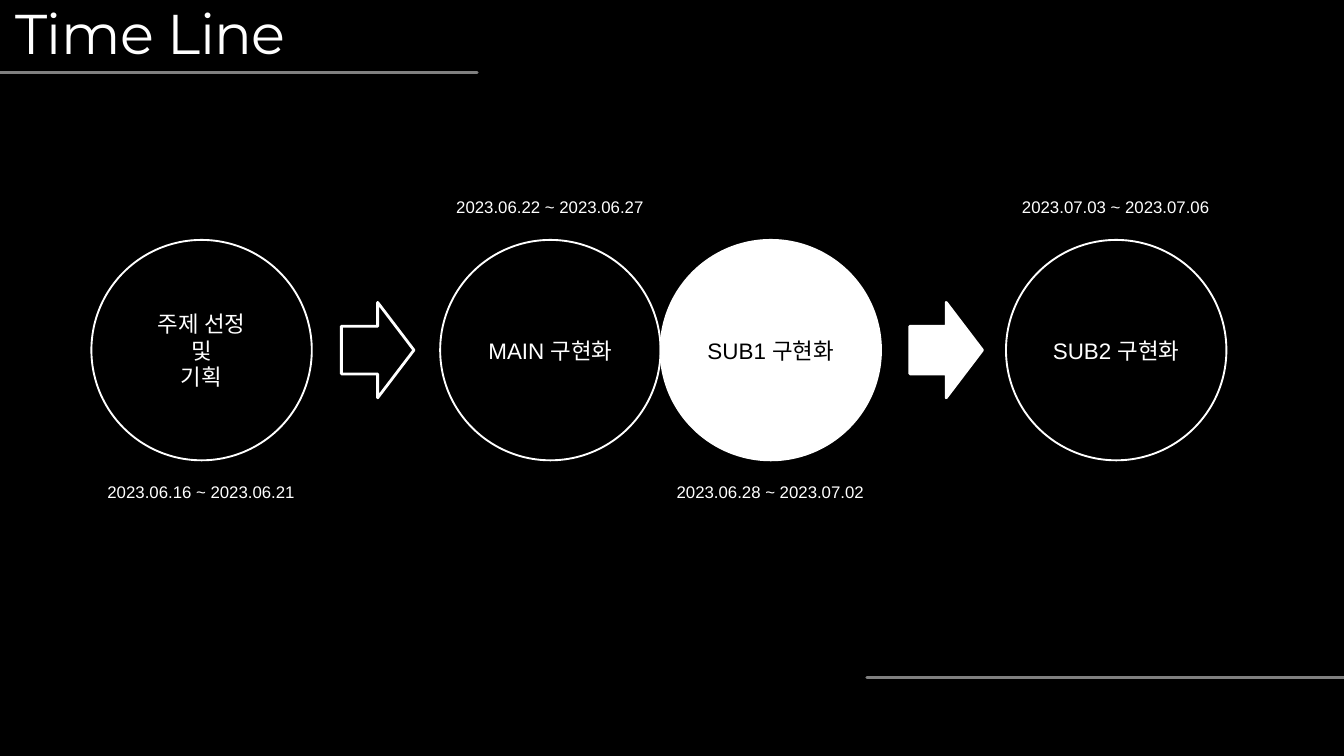
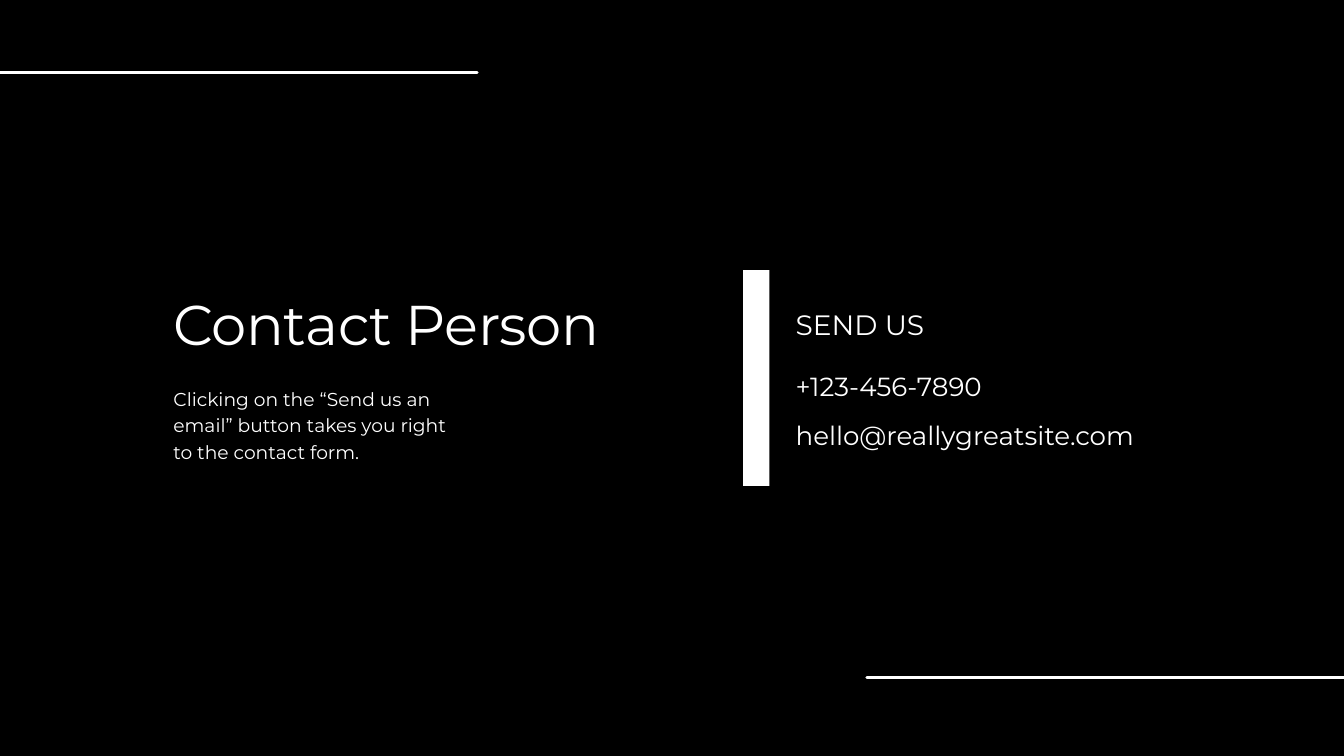
from lxml.etree import SubElement
from pptx import Presentation
from pptx.dml.color import RGBColor
from pptx.enum.shapes import MSO_CONNECTOR, MSO_SHAPE
from pptx.enum.text import MSO_ANCHOR, MSO_AUTO_SIZE, PP_ALIGN
from pptx.oxml.ns import qn
from pptx.util import Inches, Pt

BLACK, WHITE, GRAY = "000000", "FFFFFF", "808080"
HEADING_FONT, LABEL_FONT = "Montserrat", "Arial"
SLIDE_WIDTH, SLIDE_HEIGHT = 20, 11.25
RULE_LENGTH = 7.1
STAGE_TOP, STAGE_SIZE = 3.57, 3.28
ARROW_TOP, ARROW_WIDTH, ARROW_HEIGHT = 4.5, 1.08, 1.42
DATE_WIDTH, DATE_HEIGHT = 3, 0.4
DATE_ABOVE, DATE_BELOW = 2.88, 7.12
CONTACT_LEFT, DETAIL_LEFT = 2.58, 11.84

STAGES = [
    (1.36, "주제 선정\n및\n기획", "2023.06.16 ~ 2023.06.21", DATE_BELOW, None),
    (6.55, "MAIN 구현화", "2023.06.22 ~ 2023.06.27", DATE_ABOVE, None),
    (9.83, "SUB1 구현화", "2023.06.28 ~ 2023.07.02", DATE_BELOW, WHITE),
    (14.97, "SUB2 구현화", "2023.07.03 ~ 2023.07.06", DATE_ABOVE, None),
]
ARROWS = [(5.08, None), (13.54, WHITE)]
DETAILS = [
    (4.49, 3.81, 0.57, "SEND US", 30, 42),
    (5.44, 4.8, 0.53, "+123-456-7890", 28, 39.2),
    (6.16, 5.58, 0.53, "hello@reallygreatsite.com", 28, 39.2),
]


def color(hex_code):
    return RGBColor.from_string(hex_code)


def write(frame, text, size, font=HEADING_FONT, ink=WHITE, align=PP_ALIGN.LEFT,
          leading=None, tracking=None, anchor=MSO_ANCHOR.TOP, inset=None, wrap=True,
          fit=MSO_AUTO_SIZE.SHAPE_TO_FIT_TEXT):
    frame.text = text
    frame.word_wrap = wrap
    frame.auto_size = fit
    frame.vertical_anchor = anchor
    if inset is not None:
        frame.margin_left = frame.margin_right = Inches(inset)
        frame.margin_top = frame.margin_bottom = Inches(inset)
    for paragraph in frame.paragraphs:
        paragraph.alignment = align
        if leading:
            paragraph.line_spacing = Pt(leading)
        for run in paragraph.runs:
            run.font.size = Pt(size)
            run.font.name = font
            run.font.color.rgb = color(ink)
            if tracking:
                run.font._element.set("spc", str(round(tracking * 100)))


def add_text(slide, left, top, width, height, text, **style):
    box = slide.shapes.add_textbox(Inches(left), Inches(top), Inches(width), Inches(height))
    write(box.text_frame, text, **style)


def add_title(slide, left, top, width, height, text, **style):
    title = slide.shapes.title
    title.left, title.top = Inches(left), Inches(top)
    title.width, title.height = Inches(width), Inches(height)
    write(title.text_frame, text, size=60, tracking=-0.6, inset=0, **style)


def add_figure(slide, preset, left, top, width, height, fill=None, outline=None):
    figure = slide.shapes.add_shape(
        preset, Inches(left), Inches(top), Inches(width), Inches(height))
    figure.shadow.inherit = False
    if fill:
        figure.fill.solid()
        figure.fill.fore_color.rgb = color(fill)
    else:
        figure.fill.background()
    if outline:
        figure.line.color.rgb = color(WHITE)
        figure.line.width = Pt(outline)
    else:
        figure.line.fill.background()
    return figure


def add_rules(slide, ink):
    for left, top in [(0, 1.08), (SLIDE_WIDTH - RULE_LENGTH, 10.08)]:
        rule = slide.shapes.add_connector(
            MSO_CONNECTOR.STRAIGHT, Inches(left), Inches(top),
            Inches(left + RULE_LENGTH), Inches(top))
        rule.line.color.rgb = color(ink)
        rule.line.width = Pt(3)
        rule.line._get_or_add_ln().set("cap", "rnd")
        SubElement(rule._element.spPr, qn("a:effectLst"))


def add_stage(slide, left, label, dates, dates_top, fill):
    circle = add_figure(slide, MSO_SHAPE.OVAL, left, STAGE_TOP, STAGE_SIZE, STAGE_SIZE,
                        fill=fill, outline=2)
    write(circle.text_frame, label, size=24, font=LABEL_FONT, ink=BLACK if fill else WHITE,
          align=PP_ALIGN.CENTER, anchor=MSO_ANCHOR.MIDDLE, fit=MSO_AUTO_SIZE.NONE)
    add_text(slide, left + (STAGE_SIZE - DATE_WIDTH) / 2, dates_top, DATE_WIDTH, DATE_HEIGHT,
             dates, size=18, font=LABEL_FONT, wrap=False)


def build_timeline(slide):
    add_rules(slide, GRAY)
    add_title(slide, 0.14, 0.15, 4.2, 0.84, "Time Line", align=PP_ALIGN.CENTER, leading=60)
    for stage in STAGES:
        add_stage(slide, *stage)
    for left, fill in ARROWS:
        add_figure(slide, MSO_SHAPE.RIGHT_ARROW, left, ARROW_TOP, ARROW_WIDTH, ARROW_HEIGHT,
                   fill=fill, outline=3)


def build_contact(slide):
    add_figure(slide, MSO_SHAPE.RECTANGLE, 11.06, 4.02, 0.39, 3.21, fill=WHITE)
    add_title(slide, CONTACT_LEFT, 4.59, 7.59, 0.78, "Contact Person", leading=51.6)
    add_text(slide, CONTACT_LEFT, 5.72, 4.32, 1.15,
             "Clicking on the “Send us an email” button takes you right to the contact form.",
             size=20, leading=28, inset=0)
    for top, width, height, detail, size, leading in DETAILS:
        add_text(slide, DETAIL_LEFT, top, width, height, detail,
                 size=size, leading=leading, inset=0)
    add_rules(slide, WHITE)


def main():
    deck = Presentation()
    deck.slide_width, deck.slide_height = Inches(SLIDE_WIDTH), Inches(SLIDE_HEIGHT)
    backdrop = deck.slide_master.background.fill
    backdrop.solid()
    backdrop.fore_color.rgb = color(BLACK)
    title_only = deck.slide_layouts.get_by_name("Title Only")
    for build in (build_timeline, build_contact):
        build(deck.slides.add_slide(title_only))
    deck.save("out.pptx")


if __name__ == "__main__":
    main()
